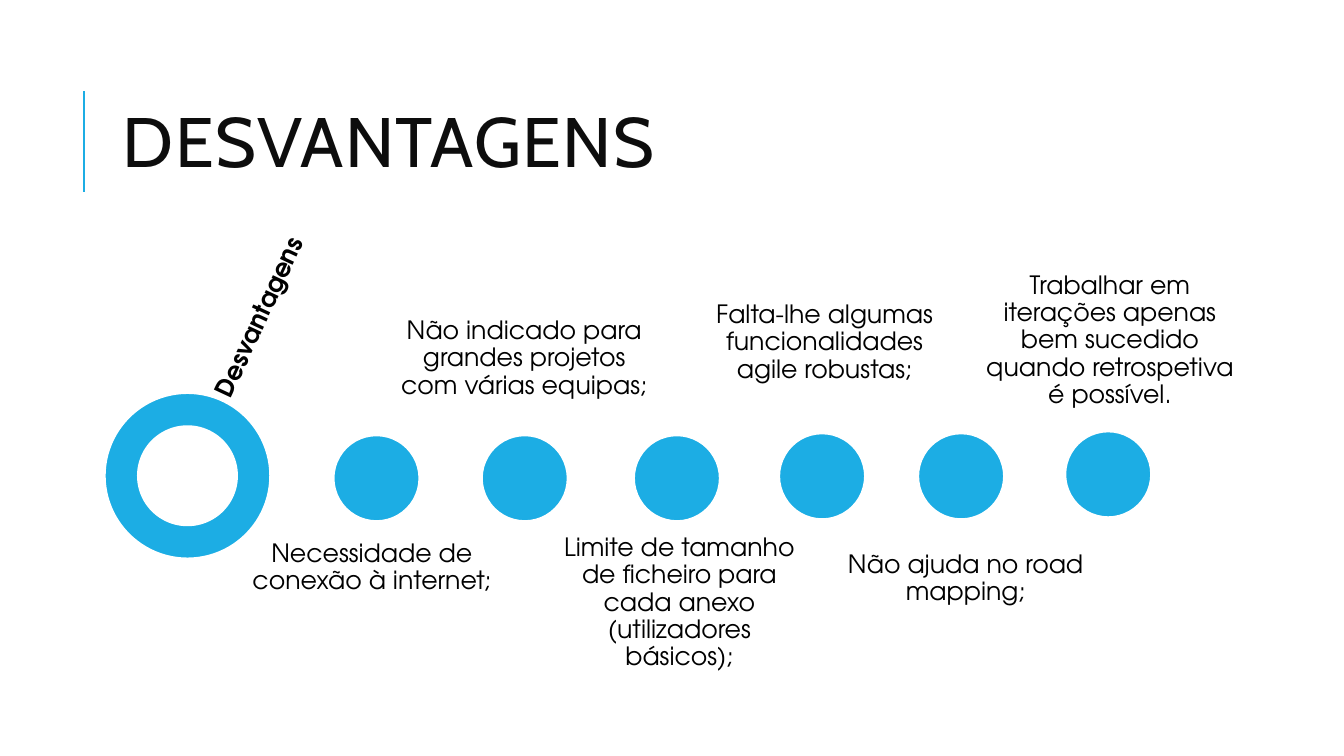
from lxml.etree import SubElement
from pptx import Presentation
from pptx.dml.color import RGBColor
from pptx.enum.shapes import MSO_CONNECTOR, MSO_SHAPE
from pptx.enum.text import MSO_ANCHOR, MSO_AUTO_SIZE, PP_ALIGN
from pptx.oxml.ns import qn
from pptx.util import Pt

CIRCLE_SIZE = 61.2

# Each step: circle (left, top), text box (left, top, width, height), wording
STEPS = [
    ((238.3, 311), (177.8, 342, 179.3, 127.4),
     "Necessidade de conexão à internet;"),
    ((344.2, 311), (285.1, 198.7, 182.2, 115.2),
     "Não indicado para grandes projetos com várias equipas;"),
    ((452.9, 311), (399.6, 373.7, 175, 113.8),
     "Limite de tamanho de ficheiro para cada anexo (utilizadores básicos);"),
    ((556.6, 309.6), (500.4, 185, 180.7, 119.5),
     "Falta-lhe algumas funcionalidades agile robustas;"),
    ((655.9, 309.6), (591.1, 366.5, 200.9, 93.6),
     "Não ajuda no road mapping;"),
    ((761, 308.2), (704.2, 183.6, 180.7, 119.5),
     "Trabalhar em iterações apenas bem sucedido quando retrospetiva é possível."),
]


def color(hex_code):
    return RGBColor.from_string(hex_code)


class TimelineSlide:
    accent = "1CADE4"
    background = "FFFFFF"
    title_color = "0D0D0D"
    text_color = "000000"
    title_font = "Cabin"
    body_font = "TeX Gyre Adventor"

    def __init__(self, slide):
        self.slide = slide

    def format_text(self, shape, text, font_name, size, hex_code, line_spacing,
                    alignment=PP_ALIGN.LEFT, bold=False):
        frame = shape.text_frame
        frame.text = text
        frame.word_wrap = True
        frame.auto_size = MSO_AUTO_SIZE.NONE
        frame.vertical_anchor = MSO_ANCHOR.MIDDLE
        paragraph = frame.paragraphs[0]
        paragraph.alignment = alignment
        paragraph.line_spacing = line_spacing
        font = paragraph.runs[0].font
        font.name = font_name
        font.size = Pt(size)
        font.bold = bold
        font.color.rgb = color(hex_code)
        return font

    def title(self, text, left, top, width, height):
        shape = self.slide.shapes.title
        shape.left, shape.top = Pt(left), Pt(top)
        shape.width, shape.height = Pt(width), Pt(height)
        self.format_text(shape, text, self.title_font, 50, self.title_color, 0.8)
        run = shape.text_frame.paragraphs[0].runs[0]
        run.font._element.set("spc", "100")

    def vertical_line(self, x, top, bottom):
        line = self.slide.shapes.add_connector(
            MSO_CONNECTOR.STRAIGHT, Pt(x), Pt(bottom), Pt(x), Pt(top))
        line.line.color.rgb = color(self.accent)
        line.line.width = Pt(1.5)
        SubElement(line._element.spPr, qn("a:effectLst"))

    def marker(self, kind, left, top, size):
        shape = self.slide.shapes.add_shape(
            kind, Pt(left), Pt(top), Pt(size), Pt(size))
        shape.shadow.inherit = False
        shape.fill.solid()
        shape.fill.fore_color.rgb = color(self.accent)
        shape.line.color.rgb = color(self.background)
        shape.line.width = Pt(1.25)
        return shape

    def label(self, text, box, margin_left=0, margin_right=0, rotation=0,
              alignment=PP_ALIGN.CENTER, bold=False):
        shape = self.slide.shapes.add_textbox(*map(Pt, box))
        shape.rotation = rotation
        frame = shape.text_frame
        frame.margin_left, frame.margin_right = Pt(margin_left), Pt(margin_right)
        frame.margin_top = frame.margin_bottom = Pt(0)
        self.format_text(shape, text, self.body_font, 18, self.text_color, 0.9,
                         alignment, bold)


def main():
    presentation = Presentation()
    presentation.slide_width, presentation.slide_height = Pt(960), Pt(540)
    title_only = presentation.slide_layouts[5]
    timeline = TimelineSlide(presentation.slides.add_slide(title_only))

    timeline.vertical_line(59.8, 64.8, 136.8)
    timeline.title("DESVANTAGENS", 80.6, 46.1, 765.4, 118.1)

    ring = timeline.marker(MSO_SHAPE.DONUT, 74.9, 280.8, 118.1)
    ring.adjustments[0] = 0.2
    timeline.label("Desvantagens", (115.9, 184.3, 146.2, 70.6), margin_left=3.6,
                   rotation=295, alignment=PP_ALIGN.LEFT, bold=True)

    for (left, top), text_box, wording in STEPS:
        timeline.marker(MSO_SHAPE.OVAL, left, top, CIRCLE_SIZE)
        timeline.label(wording, text_box, margin_right=3.6)

    presentation.save("out.pptx")


if __name__ == "__main__":
    main()
